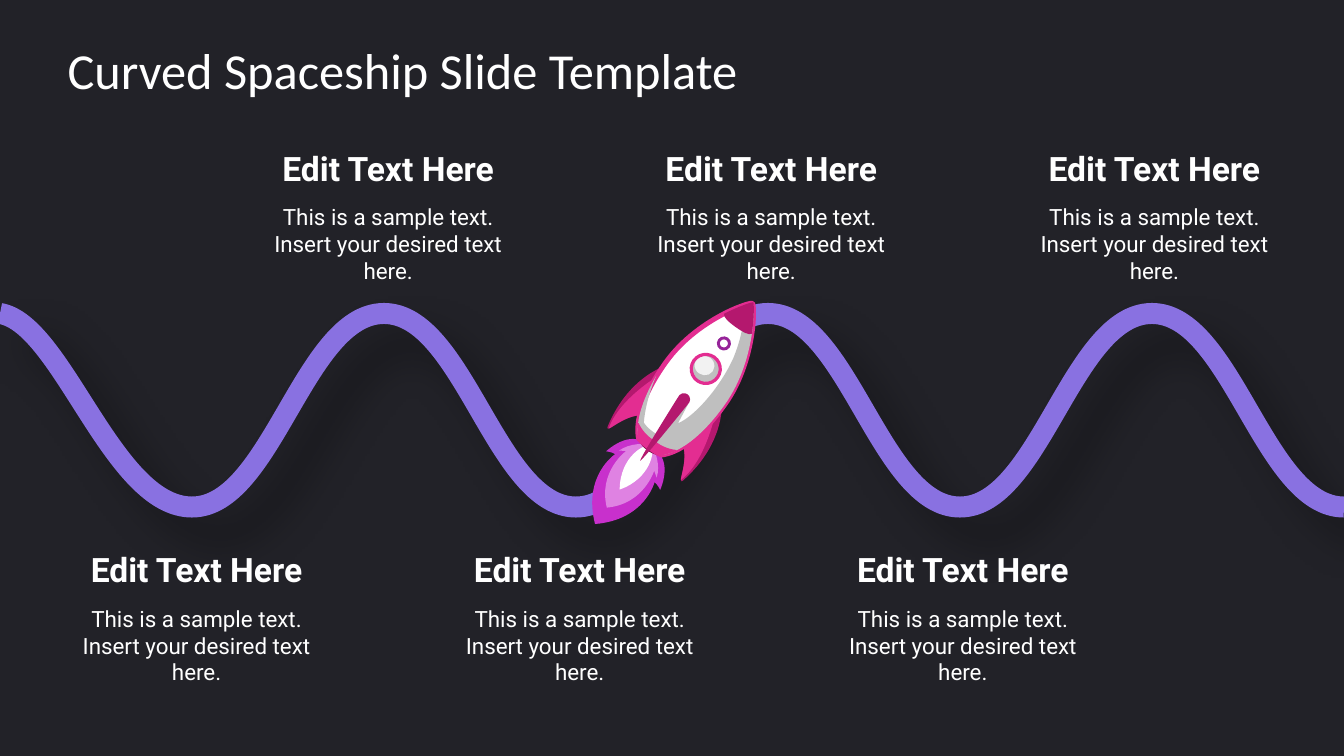
from dataclasses import dataclass
from math import cos, radians, sin

from lxml.etree import SubElement
from pptx import Presentation
from pptx.dml.color import RGBColor
from pptx.enum.shapes import MSO_SHAPE
from pptx.enum.text import MSO_ANCHOR, PP_ALIGN
from pptx.oxml.ns import qn
from pptx.util import Inches, Pt


@dataclass(frozen=True)
class Theme:
    background: str = "222228"
    white: str = "FFFFFF"
    wave: str = "8971E1"
    shadow: str = "000000"
    flame: str = "C830CC"
    flame_mid: str = "DF82E2"
    nozzle: str = "781049"
    magenta: str = "B4186E"
    pink: str = "E32D91"
    grey: str = "BFBFBF"
    glass: str = "F2F2F2"
    violet: str = "962499"
    title_font: str = "Calibri"
    body_font: str = "Roboto"
    title_size: int = 36
    heading_size: int = 24
    body_size: int = 16


@dataclass(frozen=True)
class Round:
    across: float
    along: float
    width: float
    height: float
    rim: float = 0


theme = Theme()


def add_curve(shapes, points, closed=True):
    start, *controls = [(Inches(x), Inches(y)) for x, y in points]
    builder = shapes.build_freeform(*start)
    builder.add_line_segments(controls, close=closed)
    curve = builder.convert_to_shape()
    path = next(curve.element.iter(qn("a:path")))
    segments = path.findall(qn("a:lnTo"))
    for trio in zip(segments[::3], segments[1::3], segments[2::3]):
        bezier = path.makeelement(qn("a:cubicBezTo"))
        trio[0].addprevious(bezier)
        for segment in trio:
            bezier.append(segment[0])
            path.remove(segment)
    curve.shadow.inherit = False
    return curve


def add_text(shapes, words, box, font, size, anchor, align, bold=False, inset=0):
    label = shapes.add_textbox(*(Inches(n) for n in box))
    frame = label.text_frame
    frame.word_wrap = True
    frame.vertical_anchor = anchor
    frame.margin_left = frame.margin_right = 0
    frame.margin_top = frame.margin_bottom = Inches(inset)
    paragraph = frame.paragraphs[0]
    paragraph.alignment = align
    run = paragraph.add_run()
    run.text = words
    run.font.name = font
    run.font.size = Pt(size)
    run.font.bold = bold
    run.font.color.rgb = RGBColor.from_string(theme.white)


presentation = Presentation()
presentation.slide_width = Inches(13.33)
presentation.slide_height = Inches(7.5)
slide = presentation.slides.add_slide(presentation.slide_layouts[6])
slide.background.fill.solid()
slide.background.fill.fore_color.rgb = RGBColor.from_string(theme.background)

crest, trough = 3.11, 5.03
half_wave = 13.33 / 7
handle = 0.79
wave_points = [(0, crest)]
for swing in range(7):
    start_x, end_x = swing * half_wave, (swing + 1) * half_wave
    start_y, end_y = (trough, crest) if swing % 2 else (crest, trough)
    wave_points += [(start_x + handle, start_y), (end_x - handle, end_y), (end_x, end_y)]
wave_points[1] = (0.62, 3.21)

wave = add_curve(slide.shapes, wave_points, closed=False)
wave.fill.background()
wave.line.color.rgb = RGBColor.from_string(theme.wave)
wave.line.width = Pt(15)
wave_shadow = SubElement(
    wave.element.spPr.find(qn("a:effectLst")), qn("a:outerShdw"),
    blurRad=str(Pt(29)), dist=str(Pt(27)), dir=str(45 * 60000),
    algn="tl", rotWithShape="0",
)
shadow_color = SubElement(wave_shadow, qn("a:srgbClr"), val=theme.shadow)
SubElement(shadow_color, qn("a:alpha"), val="35000")

add_text(slide.shapes, "Curved Spaceship Slide Template", (0.67, 0.3, 12, 0.78),
         theme.title_font, theme.title_size, MSO_ANCHOR.MIDDLE, PP_ALIGN.LEFT, inset=0.07)

for stop in range(6):
    left = 0.66 + 1.9 * stop
    top = 1.31 if stop % 2 else 5.29
    milestone = slide.shapes.add_group_shape().shapes
    add_text(milestone, "This is a sample text. Insert your desired text here.",
             (left, top + 0.71, 2.58, 1.06), theme.body_font, theme.body_size,
             MSO_ANCHOR.TOP, PP_ALIGN.CENTER)
    add_text(milestone, "Edit Text Here", (left, top, 2.58, 0.56), theme.body_font,
             theme.heading_size, MSO_ANCHOR.BOTTOM, PP_ALIGN.CENTER, bold=True)

porthole_x, porthole_y = 7, 3.66
tilt = 35.5
tilt_cos, tilt_sin = cos(radians(tilt)), sin(radians(tilt))

tail_edge = [(0.09, 0.96), (0.05, 0.96), (0, 0.96)]
hull_side = [
    (0, -0.8), (0.01, -0.8), (0.08, -0.72), (0.16, -0.57),
    (0.26, -0.38), (0.36, -0.11), (0.36, 0.18),
    (0.36, 0.59), (0.26, 0.84), (0.14, 0.95), *tail_edge,
]
nose_side = [
    (0, -0.81), (0.01, -0.81), (0.08, -0.72), (0.17, -0.55),
    (0.16, -0.52), (0.09, -0.51), (0, -0.51),
]
skirt_side = [
    (0, 0.88), (0.09, 0.89), (0.18, 0.86), (0.23, 0.83),
    (0.2, 0.88), (0.17, 0.91), (0.14, 0.95), *tail_edge,
]
spine_side = [
    (0, 0.31), (0.04, 0.31), (0.07, 0.35), (0.06, 0.39),
    (0.06, 0.39), (0.02, 1.08), (0, 1.12),
]
flame_side = [
    (0, 0.94), (0.05, 0.94), (0.25, 0.91), (0.33, 1.24),
    (0.33, 1.24), (0.28, 1.21), (0.24, 1.21),
    (0.24, 1.21), (0.38, 1.57), (0, 1.89),
]
flame_mid_side = [
    (0, 0.94), (0.06, 0.94), (0.19, 1.04), (0.23, 1.16),
    *[(0.17, 1.12)] * 4, (0.28, 1.45), (0, 1.69),
]
flame_core_side = [(0, 0.94), (0.06, 0.94), (0.19, 1.2), (0, 1.47)]
fin_right = [
    (0.31, 0.16), (0.31, 0.16), (0.59, 0.47), (0.46, 1.03),
    (0.46, 1.05), (0.45, 1.05), (0.44, 1.04),
    (0.42, 1.03), (0.37, 0.81), (0.23, 0.73),
    (0.23, 0.73), (0.09, 0.69), (0.31, 0.16),
]
fin_face_right = [
    (0.23, 0.73), (0.23, 0.73), (0.1, 0.7), (0.29, 0.21),
    (0.34, 0.3), (0.53, 0.74), (0.44, 1.04),
    (0.42, 1.02), (0.37, 0.81), (0.23, 0.73),
]
hull_shade = hull_side + [
    (-0.05, 0.96), (-0.09, 0.96), (-0.14, 0.95),
    (-0.25, 0.85), (-0.33, 0.65), (-0.36, 0.34),
    (-0.3, 0.62), (-0.19, 0.79), (-0.19, 0.79),
    (-0.12, 0.82), (-0.02, 0.81), (-0.02, 0.81),
    *[(0.06, 0.38)] * 3, *[(0.09, 0.6)] * 3,
    (0.19, 0.43), (0.22, 0.05), (0.16, -0.25),
    (0.09, -0.54), (-0.01, -0.67), (-0.05, -0.69),
]

flame, flame_mid, flame_core, hull, nose, skirt, spine = [
    side + [(-across, along) for across, along in side[-2::-1]]
    for side in (flame_side, flame_mid_side, flame_core_side,
                 hull_side, nose_side, skirt_side, spine_side)
]
fin_left, fin_face_left = [
    [(-across, along) for across, along in fin] for fin in (fin_right, fin_face_right)
]

rocket_parts = [
    (flame, theme.flame, None, 0),
    (flame_mid, theme.flame_mid, None, 0),
    (flame_core, theme.white, None, 0),
    (Round(0, 0.93, 0.29, 0.13), theme.nozzle, None, 0),
    (fin_left, theme.magenta, None, 0),
    (fin_face_left, theme.pink, None, 0),
    (fin_right, theme.magenta, None, 0),
    (fin_face_right, theme.pink, None, 0),
    (hull, theme.white, theme.pink, 3.5),
    (hull_shade, theme.grey, None, 0),
    (nose, theme.magenta, None, 0),
    (skirt, theme.pink, theme.pink, 0.75),
    (spine, theme.magenta, None, 0),
    (Round(0, 0, 0.29, 0.29), theme.grey, None, 0),
    (Round(-0.03, -0.02, 0.2, 0.19), theme.glass, None, 0),
    (Round(0, 0, 0.32, 0.32, rim=0.1), theme.pink, None, 0),
    (Round(0, -0.31, 0.1, 0.1), theme.white, theme.pink, 0.75),
    (Round(0, -0.31, 0.14, 0.14, rim=0.21), theme.violet, None, 0),
]

rocket = slide.shapes.add_group_shape().shapes
for outline, fill, edge, edge_width in rocket_parts:
    is_round = isinstance(outline, Round)
    anchors = [(outline.across, outline.along)] if is_round else outline
    placed = [
        (porthole_x + across * tilt_cos - along * tilt_sin,
         porthole_y + across * tilt_sin + along * tilt_cos)
        for across, along in anchors
    ]
    if is_round:
        center_x, center_y = placed[0]
        part = rocket.add_shape(
            MSO_SHAPE.DONUT if outline.rim else MSO_SHAPE.OVAL,
            Inches(center_x - outline.width / 2), Inches(center_y - outline.height / 2),
            Inches(outline.width), Inches(outline.height))
        if outline.rim:
            part.adjustments[0] = outline.rim
        part.rotation = tilt
        part.shadow.inherit = False
    else:
        part = add_curve(rocket, placed)
    part.fill.solid()
    part.fill.fore_color.rgb = RGBColor.from_string(fill)
    if edge:
        part.line.color.rgb = RGBColor.from_string(edge)
        part.line.width = Pt(edge_width)
    else:
        part.line.fill.background()

presentation.save("out.pptx")
